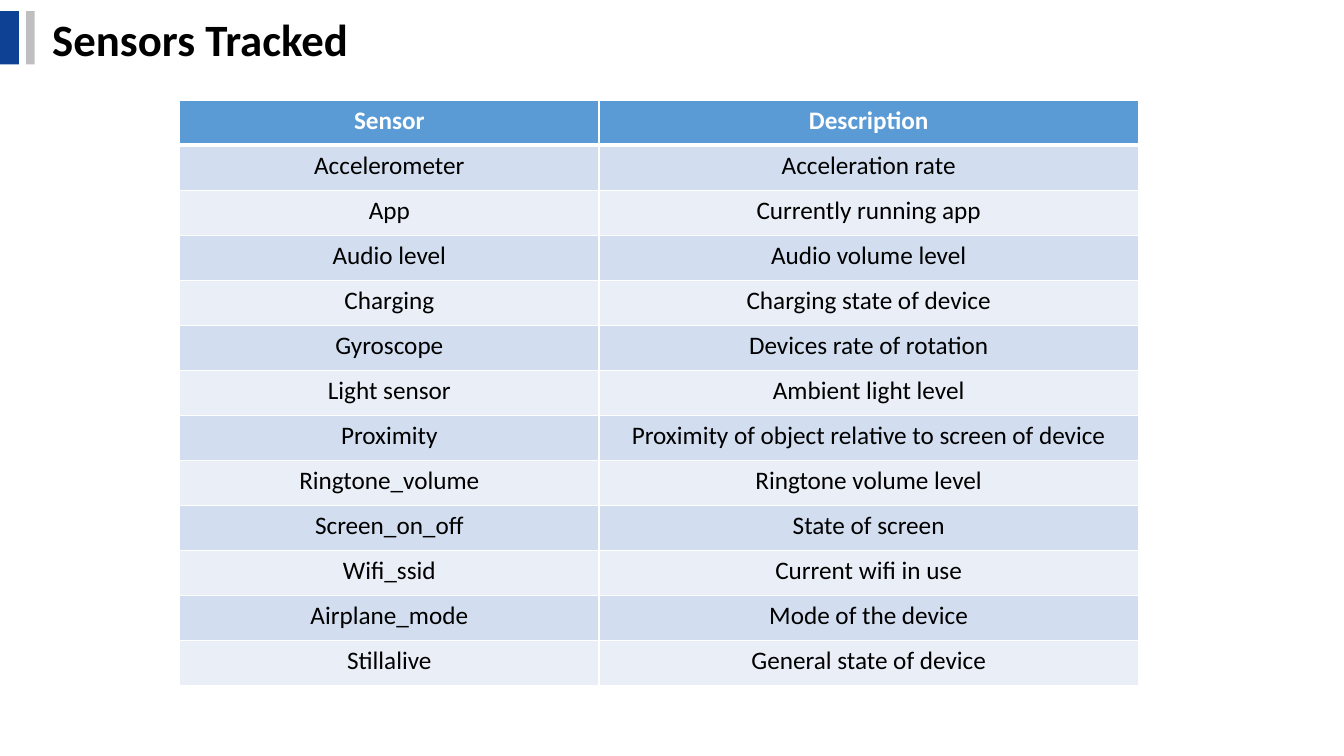
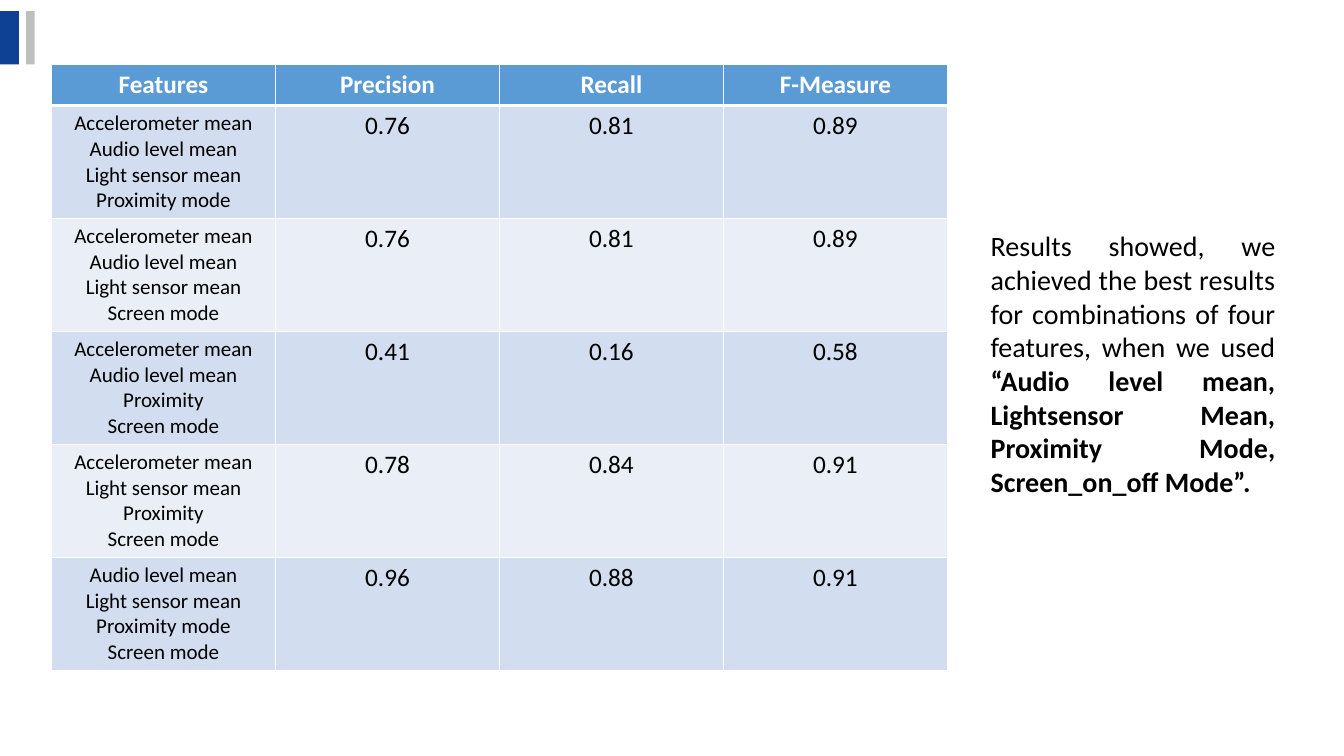
from dataclasses import dataclass

from lxml.etree import SubElement
from pptx import Presentation
from pptx.dml.color import RGBColor
from pptx.enum.shapes import MSO_SHAPE
from pptx.enum.text import MSO_ANCHOR, MSO_AUTO_SIZE, PP_ALIGN
from pptx.oxml.ns import qn
from pptx.slide import Slide
from pptx.table import _Cell
from pptx.text.text import TextFrame, _Paragraph
from pptx.util import Pt

FONT = "Calibri"
COLORS = {
    "navy": "0E4094",
    "gray": "BFBFBF",
    "header": "5B9BD5",
    "band_dark": "D2DEEF",
    "band_light": "EAEFF7",
    "white": "FFFFFF",
    "black": "000000",
}
THIN_RULE, THICK_RULE = 1, 3


@dataclass(frozen=True)
class Box:
    """A place on the slide, in points."""
    left: float
    top: float
    width: float
    height: float

    def lengths(self) -> tuple[Pt, Pt, Pt, Pt]:
        """Return the four measures as lengths."""
        return Pt(self.left), Pt(self.top), Pt(self.width), Pt(self.height)


@dataclass(frozen=True)
class Bar:
    """A coloured bar beside the title."""
    box: Box
    color: str


@dataclass(frozen=True)
class Grid:
    """A banded table; a line break in a cell starts a new paragraph."""
    left: float
    top: float
    columns: tuple[float, ...]
    header_height: float
    row_height: float
    rows: tuple[tuple[str, ...], ...]
    list_size: float = 18


TITLE_BARS = (
    Bar(Box(0, 8, 13.5, 38), "navy"),
    Bar(Box(18.75, 8, 6, 38), "gray"),
)
TITLE_BOX = Box(30.25, 4.3, 740, 46)
RESULTS_BOX = Box(700.5, 160, 217.5, 201)

SENSORS = Grid(128.4, 71.5, (299.4, 385.4), 32.18, 32.18, (
    ("Sensor", "Description"),
    ("Accelerometer", "Acceleration rate"),
    ("App", "Currently running app"),
    ("Audio level", "Audio volume level"),
    ("Charging", "Charging state of device"),
    ("Gyroscope", "Devices rate of rotation"),
    ("Light sensor", "Ambient light level"),
    ("Proximity", "Proximity of object relative to screen of device"),
    ("Ringtone_volume", "Ringtone volume level"),
    ("Screen_on_off", "State of screen"),
    ("Wifi_ssid", "Current wifi in use"),
    ("Airplane_mode", "Mode of the device"),
    ("Stillalive", "General state of device"),
))

SCORES = Grid(36.8, 46.2, (160,) * 4, 29.2, 80.7, (
    ("Features", "Precision", "Recall", "F-Measure"),
    ("Accelerometer mean\nAudio level mean\nLight sensor mean\nProximity mode",
     "0.76", "0.81", "0.89"),
    ("Accelerometer mean\nAudio level mean\nLight sensor mean\nScreen mode",
     "0.76", "0.81", "0.89"),
    ("Accelerometer mean\nAudio level mean\nProximity\nScreen mode",
     "0.41", "0.16", "0.58"),
    ("Accelerometer mean\nLight sensor mean\nProximity\nScreen mode",
     "0.78", "0.84", "0.91"),
    ("Audio level mean\nLight sensor mean\nProximity mode\nScreen mode",
     "0.96", "0.88", "0.91"),
), list_size=15)


def rgb(name: str) -> RGBColor:
    """Look up a named colour."""
    return RGBColor.from_string(COLORS[name])


def style(paragraph: _Paragraph, size: float, color: str = "black",
          bold: bool | None = None, align: PP_ALIGN = PP_ALIGN.LEFT) -> None:
    """Set the font and alignment of a paragraph."""
    paragraph.alignment = align
    font = paragraph.font
    font.name, font.size, font.bold = FONT, Pt(size), bold
    font.color.rgb = rgb(color)


def add_text_frame(slide: Slide, box: Box) -> TextFrame:
    """Add a wrapping text box that grows with its text."""
    frame = slide.shapes.add_textbox(*box.lengths()).text_frame
    frame.word_wrap = True
    frame.auto_size = MSO_AUTO_SIZE.SHAPE_TO_FIT_TEXT
    return frame


def add_bars(slide: Slide) -> None:
    """Draw the bars that every slide carries."""
    for bar in TITLE_BARS:
        block = slide.shapes.add_shape(MSO_SHAPE.RECTANGLE, *bar.box.lengths())
        block.shadow.inherit = False
        block.fill.solid()
        block.fill.fore_color.rgb = rgb(bar.color)
        block.line.fill.background()


def add_title(slide: Slide, title: str) -> None:
    """Write the slide title."""
    frame = add_text_frame(slide, TITLE_BOX)
    frame.vertical_anchor = MSO_ANCHOR.MIDDLE
    frame.text = title
    style(frame.paragraphs[0], 32, bold=True)


def add_borders(cell: _Cell, row: int) -> None:
    """Rule a cell in white, with a thick line under the header."""
    top = THICK_RULE if row == 1 else THIN_RULE
    bottom = THICK_RULE if row == 0 else THIN_RULE
    edges = {"lnL": THIN_RULE, "lnR": THIN_RULE, "lnT": top, "lnB": bottom}
    properties = cell._tc.get_or_add_tcPr()
    for edge, width in edges.items():
        line = SubElement(properties, qn(f"a:{edge}"), w=str(Pt(width)))
        fill = SubElement(line, qn("a:solidFill"))
        SubElement(fill, qn("a:srgbClr"), val=COLORS["white"])


def fill_cell(cell: _Cell, text: str, row: int, list_size: float) -> None:
    """Write and colour one cell according to its row."""
    is_header = row == 0
    add_borders(cell, row)
    cell.fill.solid()
    band = "band_dark" if row % 2 else "band_light"
    cell.fill.fore_color.rgb = rgb("header" if is_header else band)
    cell.text = text
    for paragraph in cell.text_frame.paragraphs:
        style(paragraph, list_size if "\n" in text else 18,
              "white" if is_header else "black", is_header, PP_ALIGN.CENTER)


def add_grid(slide: Slide, grid: Grid) -> None:
    """Draw a banded table."""
    height = grid.header_height + grid.row_height * (len(grid.rows) - 1)
    box = Box(grid.left, grid.top, sum(grid.columns), height)
    table = slide.shapes.add_table(
        len(grid.rows), len(grid.columns), *box.lengths()).table
    for column, width in zip(table.columns, grid.columns):
        column.width = Pt(width)
    for row, texts in enumerate(grid.rows):
        table.rows[row].height = Pt(grid.row_height if row else grid.header_height)
        for column, text in enumerate(texts):
            fill_cell(table.cell(row, column), text, row, grid.list_size)


def add_results(slide: Slide) -> None:
    """Write the finding beside the scores."""
    finding = add_text_frame(slide, RESULTS_BOX).paragraphs[0]
    style(finding, 20, align=PP_ALIGN.JUSTIFY)
    finding.add_run().text = ("Results showed, we achieved the best results for "
                              "combinations of four features, when we used ")
    best_features = finding.add_run()
    best_features.text = ("“Audio level mean, Lightsensor Mean, "
                          "Proximity Mode, Screen_on_off Mode”.")
    best_features.font.bold = True


def main() -> None:
    """Build both slides and save them."""
    deck = Presentation()
    deck.slide_width, deck.slide_height = Pt(960), Pt(540)
    blank = deck.slide_layouts[6]

    sensors_slide = deck.slides.add_slide(blank)
    add_bars(sensors_slide)
    add_title(sensors_slide, "Sensors Tracked")
    add_grid(sensors_slide, SENSORS)

    scores_slide = deck.slides.add_slide(blank)
    add_bars(scores_slide)
    add_grid(scores_slide, SCORES)
    add_results(scores_slide)

    deck.save("out.pptx")


main()
